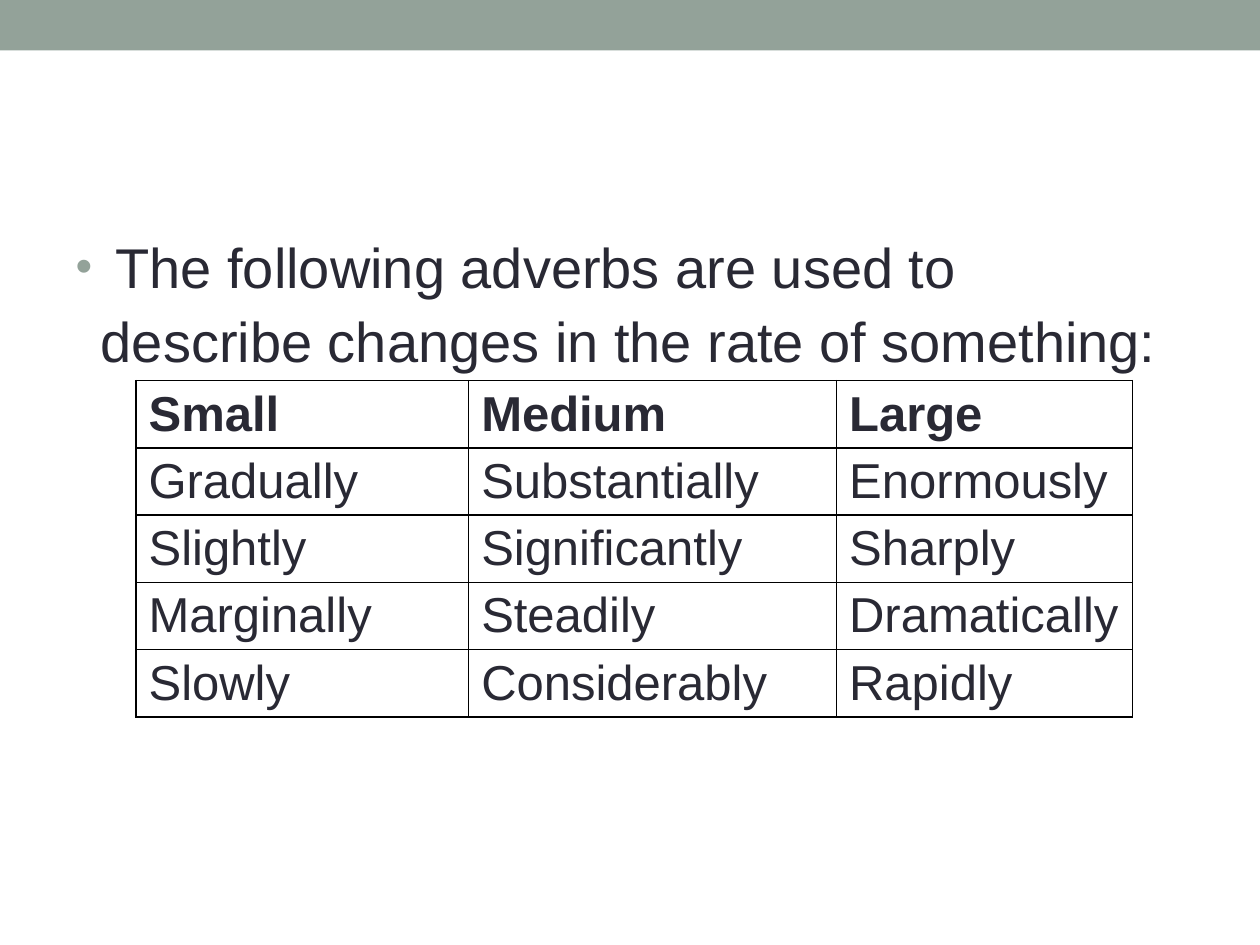
from lxml import etree
from pptx import Presentation
from pptx.dml.color import RGBColor
from pptx.enum.shapes import MSO_SHAPE
from pptx.enum.text import MSO_ANCHOR, MSO_AUTO_SIZE
from pptx.oxml.ns import qn
from pptx.util import Inches, Pt

RECTANGLE = MSO_SHAPE.RECTANGLE
TOP = MSO_ANCHOR.TOP
NO_AUTOFIT = MSO_AUTO_SIZE.NONE

COLORS = {"accent": "93A299", "text": "292934", "border": "000000"}
FONT = "Arial"

INTRO = " The following adverbs are used to describe changes in the rate of something:"
ADVERBS = [
    ("Small", "Medium", "Large"),
    ("Gradually", "Substantially", "Enormously"),
    ("Slightly", "Significantly", "Sharply"),
    ("Marginally", "Steadily", "Dramatically"),
    ("Slowly", "Considerably", "Rapidly"),
]
COLUMN_WIDTHS = (2.64, 2.92, 2.35)
ROW_HEIGHT = 0.41


def add_run(paragraph, text, size, bold=False):
    run = paragraph.add_run()
    run.text = text
    run.font.name = FONT
    run.font.size = Pt(size)
    run.font.bold = bold
    run.font.color.rgb = RGBColor.from_string(COLORS["text"])


def add_bullet(paragraph, indent):
    properties = paragraph._p.get_or_add_pPr()
    properties.set("marL", str(Inches(indent)))
    properties.set("indent", str(-Inches(indent)))
    color = etree.SubElement(properties, qn("a:buClr"))
    etree.SubElement(color, qn("a:srgbClr"), val=COLORS["accent"])
    etree.SubElement(properties, qn("a:buSzPct"), val="85000")
    etree.SubElement(properties, qn("a:buFont"), typeface=FONT)
    etree.SubElement(properties, qn("a:buChar"), char="•")


def add_borders(cell):
    properties = cell._tc.get_or_add_tcPr()
    for side in ("a:lnL", "a:lnR", "a:lnT", "a:lnB"):
        line = etree.SubElement(properties, qn(side), w=str(Pt(1)))
        fill = etree.SubElement(line, qn("a:solidFill"))
        etree.SubElement(fill, qn("a:srgbClr"), val=COLORS["border"])


def add_top_band(slide, width):
    band = slide.shapes.add_shape(RECTANGLE, 0, 0, width, Inches(0.4))
    band.shadow.inherit = False
    band.fill.solid()
    band.fill.fore_color.rgb = RGBColor.from_string(COLORS["accent"])
    band.line.fill.background()


def fill_intro(intro):
    intro.left, intro.top = Inches(0.5), Inches(1.75)
    intro.width, intro.height = Inches(9), Inches(5.33)
    frame = intro.text_frame
    frame.word_wrap = True
    frame.auto_size = NO_AUTOFIT
    frame.vertical_anchor = TOP
    paragraph = frame.paragraphs[0]
    add_bullet(paragraph, 0.2)
    paragraph.space_before = Pt(0)
    paragraph.line_spacing = 1.09
    add_run(paragraph, INTRO, 32)


def add_adverb_table(slide):
    table = slide.shapes.add_table(
        len(ADVERBS), len(COLUMN_WIDTHS), Inches(1.08), Inches(3.02),
        Inches(sum(COLUMN_WIDTHS)), Inches(ROW_HEIGHT * len(ADVERBS)),
    ).table
    table.first_row = False
    table.horz_banding = False
    for column, width in zip(table.columns, COLUMN_WIDTHS):
        column.width = Inches(width)
    for row_index, adverbs in enumerate(ADVERBS):
        table.rows[row_index].height = Inches(ROW_HEIGHT)
        for column_index, adverb in enumerate(adverbs):
            cell = table.cell(row_index, column_index)
            add_borders(cell)
            cell.fill.background()
            add_run(cell.text_frame.paragraphs[0], adverb, 28, bold=row_index == 0)


def main():
    presentation = Presentation()
    presentation.slide_width = Inches(10)
    presentation.slide_height = Inches(7.5)
    slide = presentation.slides.add_slide(presentation.slide_layouts[1])
    empty_title = slide.shapes.title.element
    empty_title.getparent().remove(empty_title)

    add_top_band(slide, presentation.slide_width)
    fill_intro(slide.placeholders[1])
    add_adverb_table(slide)
    presentation.save("out.pptx")


if __name__ == "__main__":
    main()
